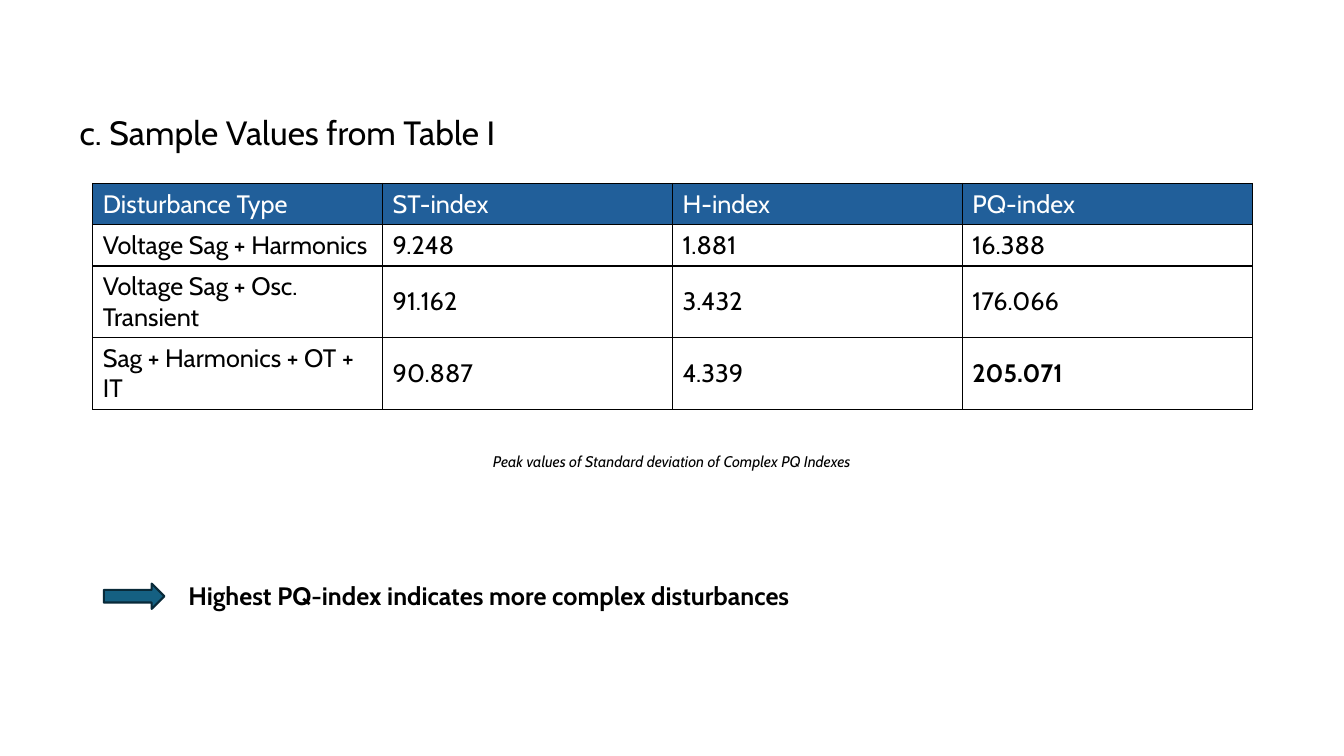
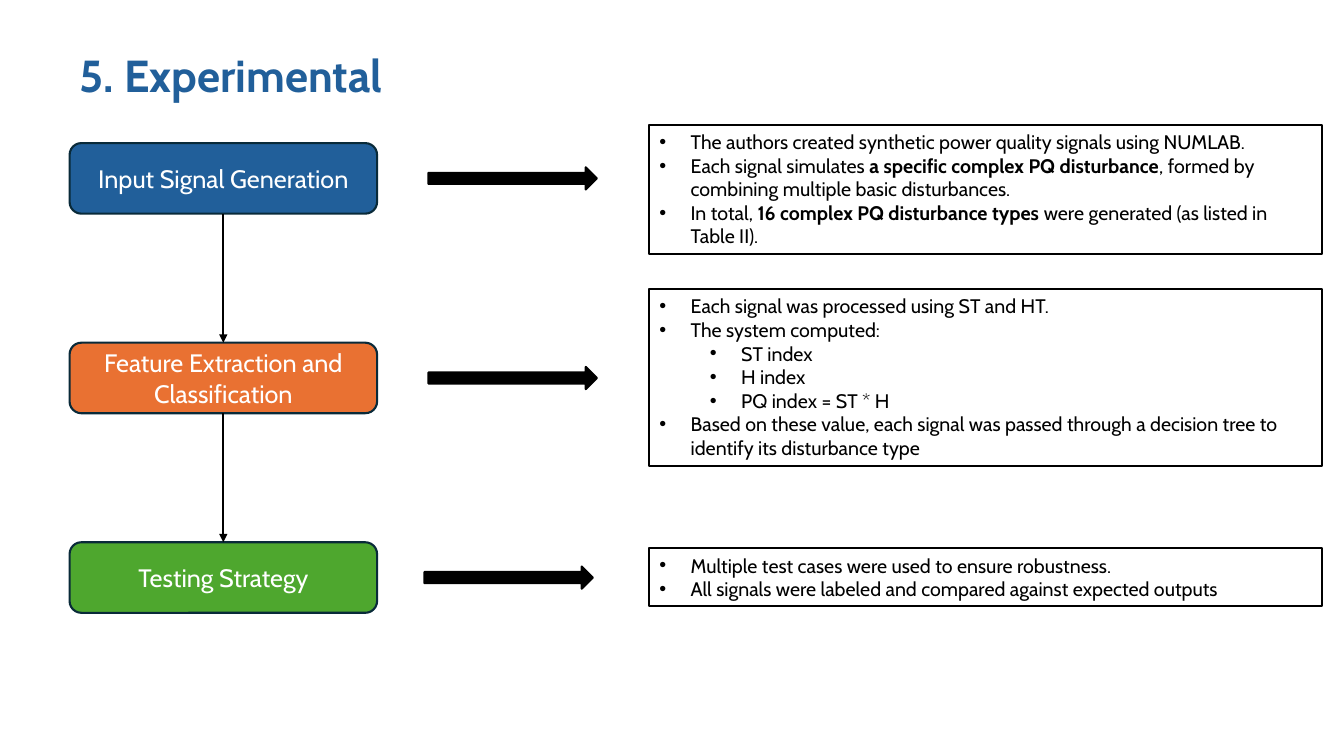
from dataclasses import dataclass
from lxml import etree
from pptx import Presentation
from pptx.dml.color import RGBColor
from pptx.enum.shapes import MSO_CONNECTOR, MSO_SHAPE
from pptx.enum.text import MSO_ANCHOR, MSO_AUTO_SIZE, PP_ALIGN
from pptx.oxml import parse_xml
from pptx.oxml.ns import nsdecls, qn
from pptx.util import Inches, Pt

LEFT, CENTER = PP_ALIGN.LEFT, PP_ALIGN.CENTER
TOP, MIDDLE = MSO_ANCHOR.TOP, MSO_ANCHOR.MIDDLE
ROUND, ARROW = MSO_SHAPE.ROUNDED_RECTANGLE, MSO_SHAPE.RIGHT_ARROW
STRAIGHT, FIXED = MSO_CONNECTOR.STRAIGHT, MSO_AUTO_SIZE.NONE


@dataclass(frozen=True)
class Theme:
    face: str = "Cabin"
    ink: RGBColor = RGBColor(0, 0, 0)
    paper: RGBColor = RGBColor(255, 255, 255)
    blue: RGBColor = RGBColor.from_string("215F9A")
    orange: RGBColor = RGBColor.from_string("E97132")
    green: RGBColor = RGBColor.from_string("4EA72E")
    teal: RGBColor = RGBColor.from_string("156082")
    edge: RGBColor = RGBColor.from_string("092A39")
    head: Pt = Pt(32)
    sub: Pt = Pt(24)
    main: Pt = Pt(18)
    list: Pt = Pt(14)
    note: Pt = Pt(11)
    line: Pt = Pt(1.5)


theme = Theme()


def write(par, text, size, hue=theme.ink, bold=False, italic=False, align=LEFT):
    for i, part in enumerate(text.split("|")):
        if not part:
            continue
        run = par.add_run()
        run.text = part
        if i % 2:
            run.font.bold = True
    font = par.font
    font.name, font.size, font.bold, font.italic = theme.face, size, bold, italic
    font.color.rgb = hue
    par.alignment = align


def paint(shape, fill, edge):
    shape.shadow.inherit = False
    shape.fill.solid()
    shape.fill.fore_color.rgb = fill
    shape.line.color.rgb = edge
    shape.line.width = theme.line


deck = Presentation()
deck.slide_width, deck.slide_height = Inches(13.33), Inches(7.5)
values = deck.slides.add_slide(deck.slide_layouts[5])
method = deck.slides.add_slide(deck.slide_layouts[4])

titles = [
    (values, "c. Sample Values from Table I", 1.06, 0.5, theme.sub, theme.ink, False),
    (method, "5. Experimental", 0.42, 0.64, theme.head, theme.blue, True),
]
for slide, text, top, height, size, hue, bold in titles:
    title = slide.shapes.title
    title.left, title.top = Inches(0.69), Inches(top)
    title.width, title.height = Inches(5.6), Inches(height)
    frame = title.text_frame
    frame.auto_size, frame.vertical_anchor = FIXED, TOP
    write(frame.paragraphs[0], text, size, hue, bold)

rows = [
    ("Disturbance Type", "ST-index", "H-index", "PQ-index"),
    ("Voltage Sag + Harmonics", "9.248", "1.881", "16.388"),
    ("Voltage Sag + Osc. Transient", "91.162", "3.432", "176.066"),
    ("Sag + Harmonics + OT + IT", "90.887", "4.339", "|205.071|"),
]
heights = [0.41, 0.41, 0.71, 0.71]
table = values.shapes.add_table(
    len(rows), len(rows[0]), Inches(0.92), Inches(1.82), Inches(11.5), Inches(sum(heights))
).table
table.horz_banding = False
for r, row in enumerate(rows):
    table.rows[r].height = Inches(heights[r])
    for c, text in enumerate(row):
        cell = table.cell(r, c)
        cell.vertical_anchor = MIDDLE
        if r == 0:
            cell.fill.solid()
            cell.fill.fore_color.rgb = theme.blue
        else:
            cell.fill.background()
        hue = theme.ink if r else theme.paper
        write(cell.text_frame.paragraphs[0], text, theme.main, hue)
        props = cell._tc.get_or_add_tcPr()
        for i, side in enumerate("LRTB"):
            props.insert(i, parse_xml(
                f'<a:ln{side} {nsdecls("a")} w="{Pt(1)}"><a:solidFill>'
                f'<a:srgbClr val="{theme.ink}"/></a:solidFill></a:ln{side}>'
            ))

notes = [
    ("Peak values of Standard deviation of Complex PQ Indexes",
     3.33, 4.44, 0.29, theme.note, False, True, CENTER),
    ("Highest PQ-index indicates more complex disturbances",
     1.77, 5.71, 0.4, theme.main, True, False, LEFT),
]
for text, left, top, height, size, bold, italic, align in notes:
    box = values.shapes.add_textbox(Inches(left), Inches(top), Inches(6.67), Inches(height))
    box.text_frame.word_wrap = True
    write(box.text_frame.paragraphs[0], text, size, theme.ink, bold, italic, align)
arrow = values.shapes.add_shape(ARROW, Inches(1.03), Inches(5.79), Inches(0.6), Inches(0.25))
paint(arrow, theme.teal, theme.edge)

steps = [
    ("Input Signal Generation", theme.blue, 4.25, 1.24, 1.28, [
        (0, "The authors created synthetic power quality signals using NUMLAB."),
        (0, "Each signal simulates |a specific complex PQ disturbance|, "
            "formed by combining multiple basic disturbances."),
        (0, "In total, |16 complex PQ disturbance types| were generated (as listed in Table II)."),
    ]),
    ("Feature Extraction and Classification", theme.orange, 4.25, 2.87, 1.75, [
        (0, "Each signal was processed using ST and HT."),
        (0, "The system computed:"),
        (1, "ST index"),
        (1, "H index"),
        (1, "PQ index = ST * H"),
        (0, "Based on these value, each signal was passed through "
            "a decision tree to identify its disturbance type"),
    ]),
    ("Testing Strategy", theme.green, 4.21, 5.44, 0.57, [
        (0, "Multiple test cases were used to ensure robustness."),
        (0, "All signals were labeled and compared against expected outputs"),
    ]),
]
bodies = list(method.placeholders)[1:]
spare = bodies.pop()
spare.element.getparent().remove(spare.element)
stages = []
for i, (name, hue, left, top, height, items) in enumerate(steps):
    y = 1.42 + 1.98 * i
    stage = method.shapes.add_shape(ROUND, Inches(0.69), Inches(y), Inches(3.05), Inches(0.7))
    paint(stage, hue, theme.edge)
    stage.text_frame.word_wrap = True
    stage.text_frame.vertical_anchor = MIDDLE
    write(stage.text_frame.paragraphs[0], name, theme.main, theme.paper, align=CENTER)
    stages.append(stage)

    arrow = method.shapes.add_shape(
        ARROW, Inches(left), Inches(y + 0.24), Inches(1.67), Inches(0.22)
    )
    paint(arrow, theme.ink, theme.ink)

    body = bodies[i]
    body.left, body.top = Inches(6.44), Inches(top)
    body.width, body.height = Inches(6.67), Inches(height)
    body.fill.solid()
    body.fill.fore_color.rgb = theme.paper
    body.line.color.rgb = theme.ink
    body.line.width = theme.line
    frame = body.text_frame
    frame.auto_size, frame.vertical_anchor = FIXED, TOP
    for n, (level, text) in enumerate(items):
        par = frame.add_paragraph() if n else frame.paragraphs[0]
        par.level = level
        par.space_before = Pt(0)
        props = par._p.get_or_add_pPr()
        props.set("marL", str(Inches(0.31 + 0.5 * level)))
        props.set("indent", str(Inches(-0.31)))
        etree.SubElement(props, qn("a:buFont"), typeface="Arial")
        etree.SubElement(props, qn("a:buChar"), char="•")
        write(par, text, theme.list)

for start, end in zip(stages, stages[1:]):
    link = method.shapes.add_connector(STRAIGHT, 0, 0, 0, 0)
    link.begin_connect(start, 2)
    link.end_connect(end, 0)
    link.line.color.rgb = theme.ink
    link.line.width = theme.line
    etree.SubElement(link.line._get_or_add_ln(), qn("a:tailEnd"), type="triangle")
    etree.SubElement(link.element.spPr, qn("a:effectLst"))

deck.save("out.pptx")
